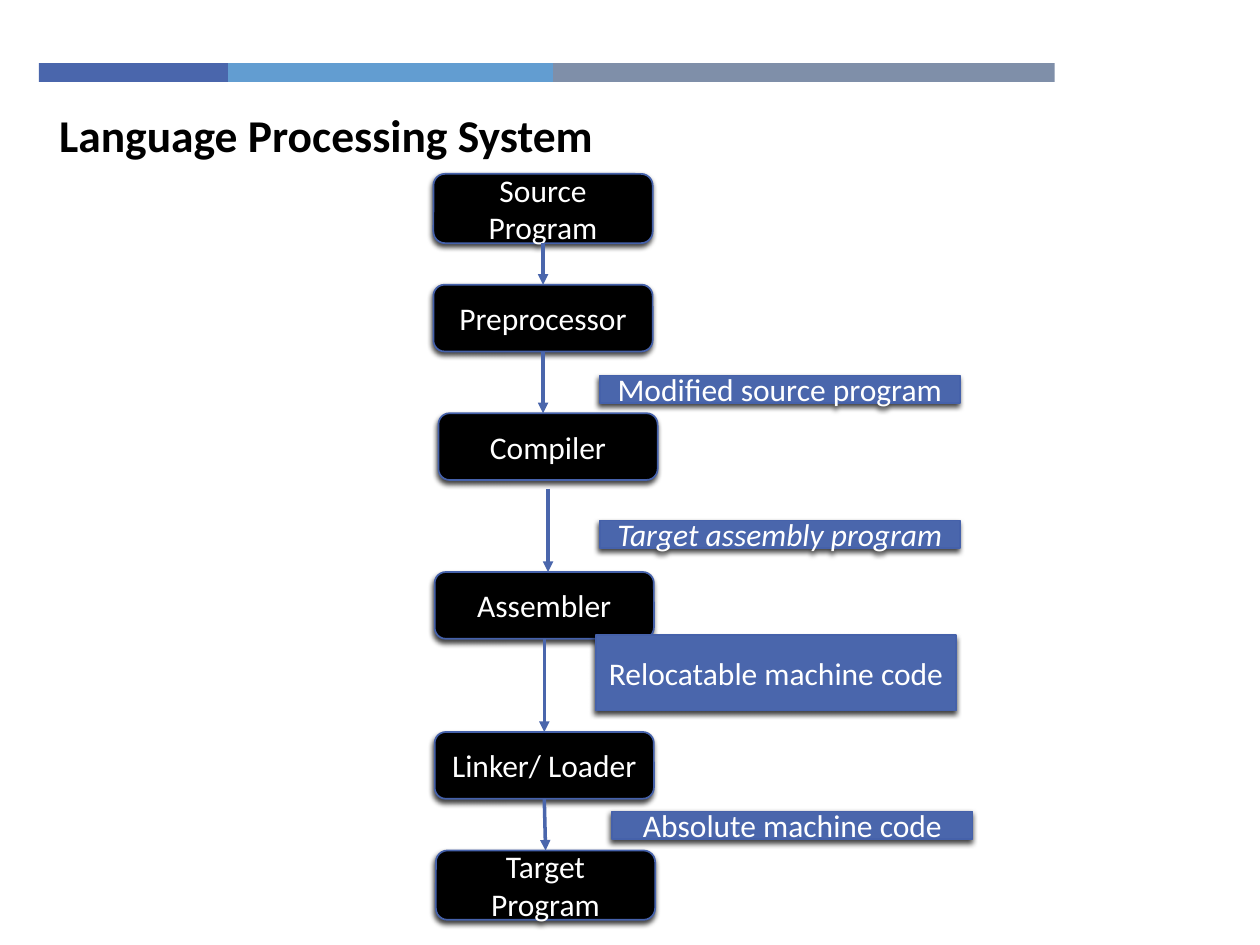
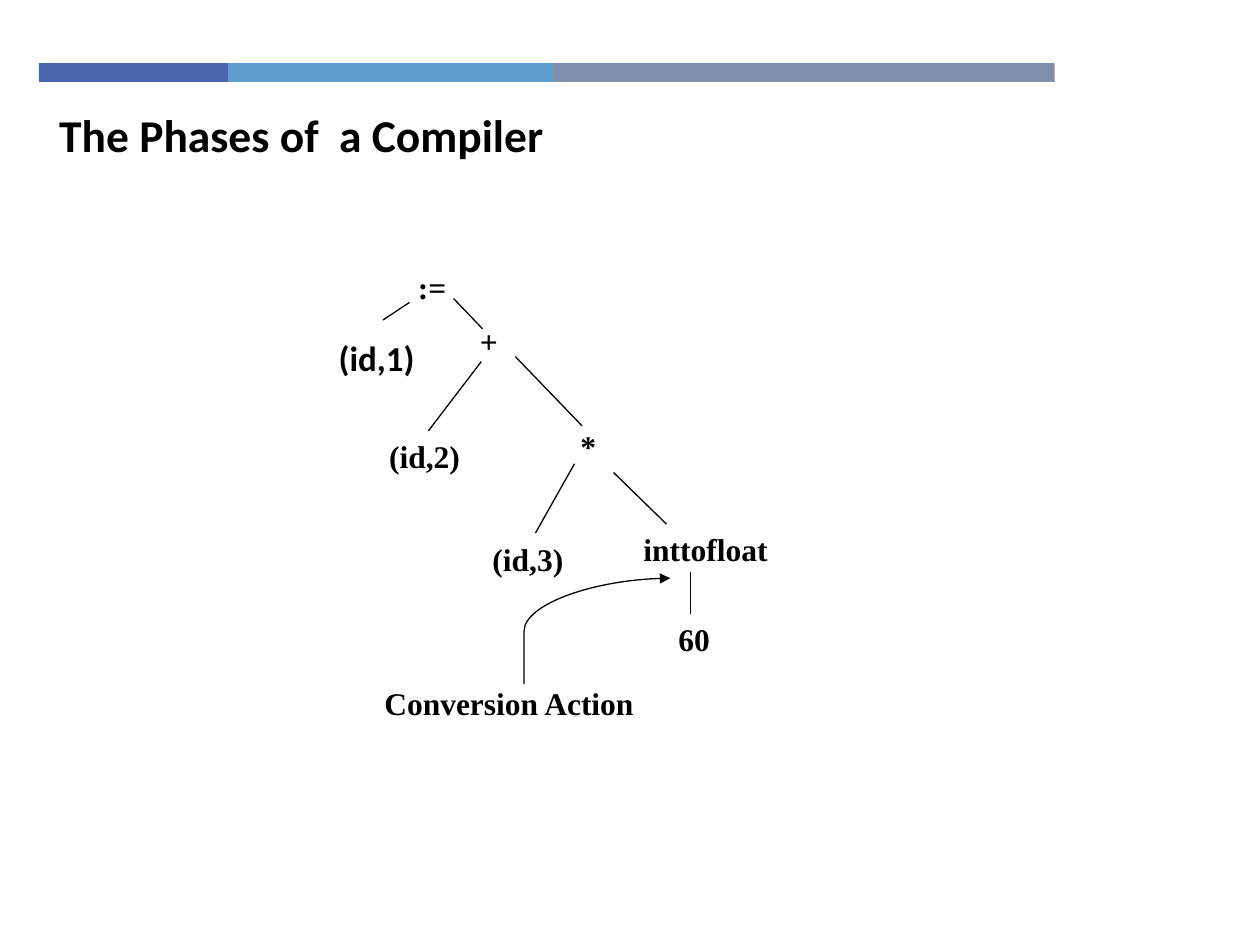
from dataclasses import dataclass

import lxml.etree
import pptx
import pptx.dml.color
import pptx.enum.shapes
import pptx.enum.text
import pptx.oxml.ns
import pptx.util

Inches, Pt = pptx.util.Inches, pptx.util.Pt
RGB = pptx.dml.color.RGBColor.from_string
SHAPE = pptx.enum.shapes.MSO_SHAPE
LINE = pptx.enum.shapes.MSO_CONNECTOR
ALIGN = pptx.enum.text.PP_ALIGN
ANCHOR = pptx.enum.text.MSO_ANCHOR
qn = pptx.oxml.ns.qn
TOP, BOTTOM = 0, 2  # connection sites


@dataclass(frozen=True)
class Theme:
    blue: str = "4A66AC"
    sky: str = "629DD1"
    slate: str = "7F8FA9"
    outline: str = "4561AA"
    black: str = "000000"
    white: str = "FFFFFF"
    font: str = "Calibri"
    serif: str = "Times New Roman"
    title_size: int = 26
    leaf_size: int = 20
    text_size: int = 18


T = Theme()


def write(shape, text, size=T.text_size, font=T.font, color=T.black, bold=False,
          italic=False, align=ALIGN.CENTER, anchor=ANCHOR.TOP):
    tf = shape.text_frame
    tf.word_wrap = True
    tf.auto_size = pptx.enum.text.MSO_AUTO_SIZE.NONE
    tf.vertical_anchor = anchor
    p = tf.paragraphs[0]
    p.alignment = align
    r = p.add_run()
    r.text = text
    r.font.size, r.font.name = Pt(size), font
    r.font.bold, r.font.italic = bold, italic
    r.font.color.rgb = RGB(color)


def add_block(s, kind, box, fill, outline=None):
    sp = s.shapes.add_shape(kind, *map(Inches, box))
    sp.shadow.inherit = False
    sp.fill.solid()
    sp.fill.fore_color.rgb = RGB(fill)
    if outline:
        sp.line.color.rgb = RGB(outline)
        sp.line.width = Pt(1)
    else:
        sp.line.fill.background()
    return sp


def add_shadow(sp):
    effects = sp._element.spPr.find(qn("a:effectLst"))
    shadow = lxml.etree.SubElement(
        effects, qn("a:outerShdw"), blurRad=str(Pt(3)), dist=str(Pt(2)),
        dir=str(110 * 60000), rotWithShape="0")
    color = lxml.etree.SubElement(shadow, qn("a:srgbClr"), val=T.black)
    lxml.etree.SubElement(color, qn("a:alpha"), val="75000")


def add_line(s, start, end, color=T.black, width=0.75, kind=LINE.STRAIGHT, arrow=False):
    line = s.shapes.add_connector(kind, *map(Inches, (*start, *end)))
    line.line.color.rgb = RGB(color)
    line.line.width = Pt(width)
    spPr = line._element.spPr
    if arrow:
        lxml.etree.SubElement(spPr.find(qn("a:ln")), qn("a:tailEnd"), type="triangle")
    lxml.etree.SubElement(spPr, qn("a:effectLst"))
    return line


def add_band(s, x, y):
    for width, color in ((1.5, T.blue), (2.58, T.sky), (3.98, T.slate)):
        add_block(s, SHAPE.RECTANGLE, (x, y, width, 0.15), color)
        x += width


def add_titled_slide(prs, title):
    s = prs.slides.add_slide(prs.slide_layouts.get_by_name("Title Only"))
    add_band(s, 0.31, 0.5)
    sp = s.shapes.title
    sp.left, sp.top, sp.width, sp.height = map(Inches, (0.37, 0.8, 7.16, 0.54))
    write(sp, title, size=T.title_size, bold=True, align=ALIGN.LEFT)
    return s


def add_flow(s, x, y):
    """Chain of processing steps with the code passed between them."""
    steps = [  # name, dx, dy, height
        ("Source Program", 0, 0, 0.55),
        ("Preprocessor", 0, 0.88, 0.53),
        ("Compiler", 0.04, 1.9, 0.53),
        ("Assembler", 0.01, 3.16, 0.53),
        ("Linker/ Loader", 0.01, 4.43, 0.53),
        ("Target Program", 0.02, 5.37, 0.55),
    ]
    boxes = {}
    for name, dx, dy, height in steps:
        sp = add_block(s, SHAPE.ROUNDED_RECTANGLE, (x + dx, y + dy, 1.74, height),
                       T.black, T.outline)
        add_shadow(sp)
        write(sp, name, color=T.white, anchor=ANCHOR.MIDDLE)
        boxes[name] = sp

    # Arrows: the compiler's two stand off its side middles
    loose_ends = {"Preprocessor": (0.87, 1.9), "Compiler": (0.91, 3.16)}
    loose_starts = {"Compiler": (0.91, 2.5)}
    names = list(boxes)
    for name, following in zip(names, names[1:]):
        dx, dy = loose_starts.get(name, (0, 0))
        end_dx, end_dy = loose_ends.get(name, (0, 0))
        arrow = add_line(s, (x + dx, y + dy), (x + end_dx, y + end_dy),
                         T.blue, 2, arrow=True)
        if name not in loose_starts:
            arrow.begin_connect(boxes[name], BOTTOM)
        if name not in loose_ends:
            arrow.end_connect(boxes[following], TOP)

    # Intermediate code
    labels = [  # text, dx, dy, height, italic
        ("Modified source program", 1.32, 1.6, 0.22, False),
        ("Target assembly program", 1.32, 2.75, 0.22, True),
        ("Relocatable machine code", 1.29, 3.66, 0.6, False),
        ("Absolute machine code", 1.42, 5.06, 0.22, False),
    ]
    for text, dx, dy, height, italic in labels:
        sp = add_block(s, SHAPE.RECTANGLE, (x + dx, y + dy, 2.86, height),
                       T.blue, T.outline)
        add_shadow(sp)
        write(sp, text, color=T.white, italic=italic, anchor=ANCHOR.MIDDLE)


def add_syntax_tree(s, x, y):
    """Tree of tokens, each node centred on its dx."""
    def add_node(text, dx, dy, width=1.5, size=T.text_size, font=T.serif):
        box = (x + dx - width / 2, y + dy, width, 0.4)
        write(s.shapes.add_textbox(*map(Inches, box)), text, size=size,
              font=font, bold=True)

    add_node("(id,1)", 0.99, 0.62, size=T.leaf_size, font=T.font)
    for text, dx, dy in [
        (":=", 1.43, 0.08), ("+", 1.88, 0.51), ("(id,2)", 1.37, 1.42),
        ("*", 2.67, 1.34), ("(id,3)", 2.19, 2.24), ("inttofloat", 3.6, 2.16),
        ("60", 3.51, 2.87),
    ]:
        add_node(text, dx, dy)
    add_node("Conversion Action", 2.04, 3.38, width=2.33)

    # Branches
    for x1, y1, x2, y2 in [
        (1.25, 0.4, 1.04, 0.54), (1.6, 0.37, 1.83, 0.61),
        (1.82, 0.87, 1.4, 1.42), (2.09, 0.83, 2.62, 1.38),
        (2.56, 1.68, 2.25, 2.23), (2.87, 1.75, 3.29, 2.16),
        (3.48, 2.54, 3.48, 2.87),
    ]:
        add_line(s, (x + x1, y + y1), (x + x2, y + y2))

    # Pointer from the action to the conversion
    curve = add_line(s, (x + 2.16, y + 3.43), (x + 3.32, y + 2.59),
                     kind=LINE.CURVE, arrow=True)
    geometry = curve._element.spPr.find(qn("a:prstGeom"))
    guides = geometry.find(qn("a:avLst"))
    lxml.etree.SubElement(guides, qn("a:gd"), name="adj1", fmla="val 0")


def main():
    prs = pptx.Presentation()
    prs.slide_width, prs.slide_height = Inches(10), Inches(7.5)
    add_flow(add_titled_slide(prs, "Language Processing System"), 3.44, 1.38)
    add_syntax_tree(add_titled_slide(prs, "The Phases of  a Compiler"), 2, 2)
    prs.save("out.pptx")


if __name__ == "__main__":
    main()
